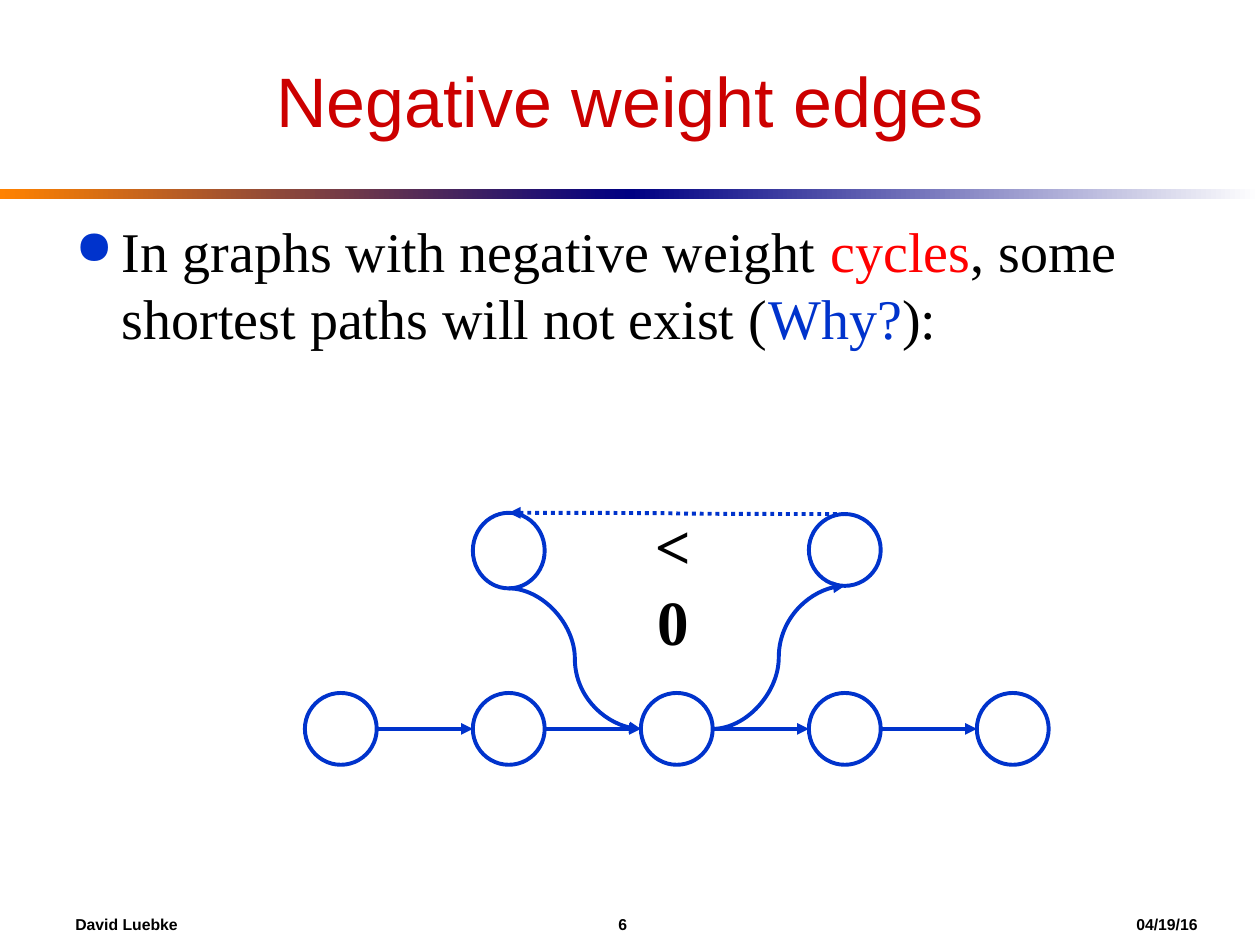
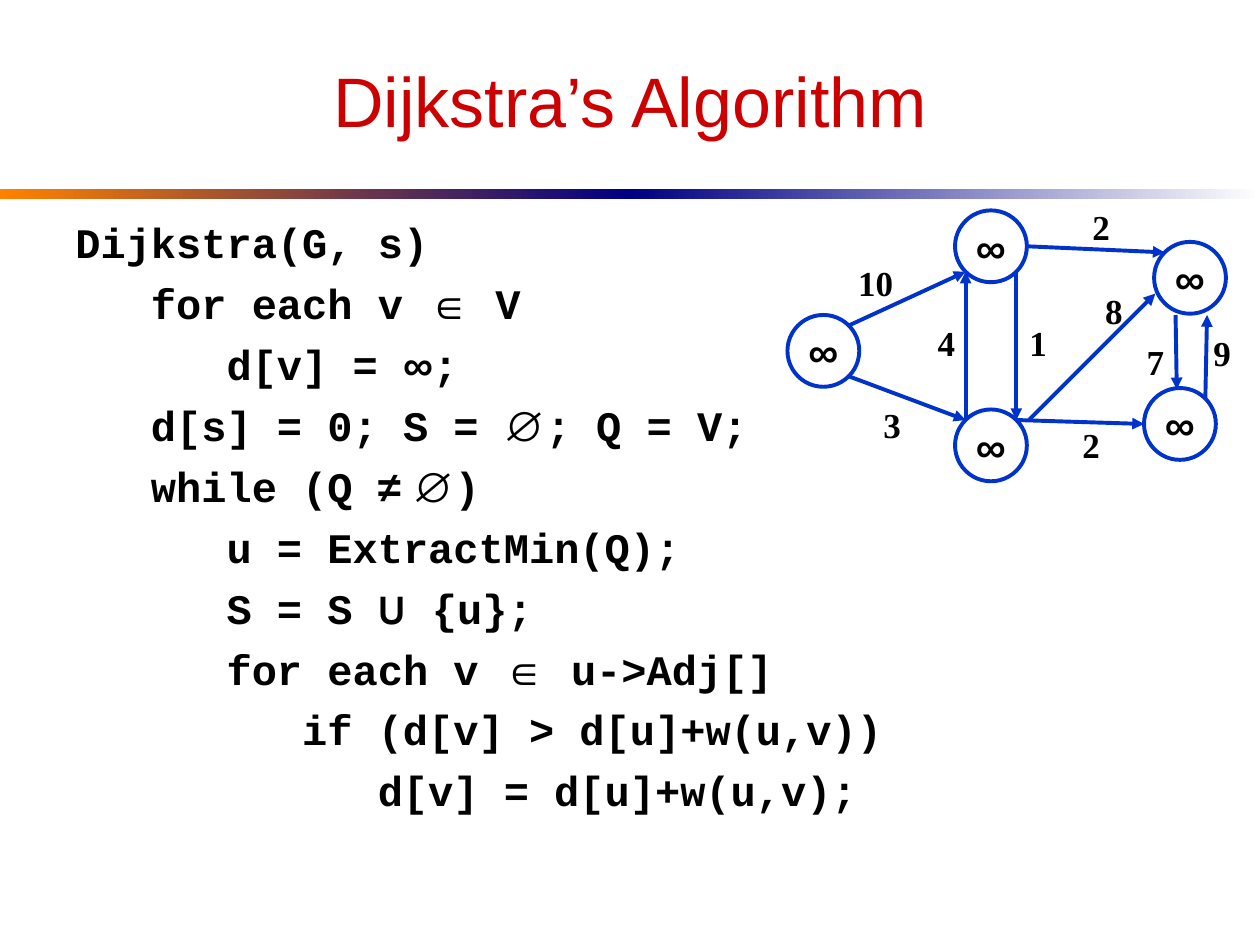
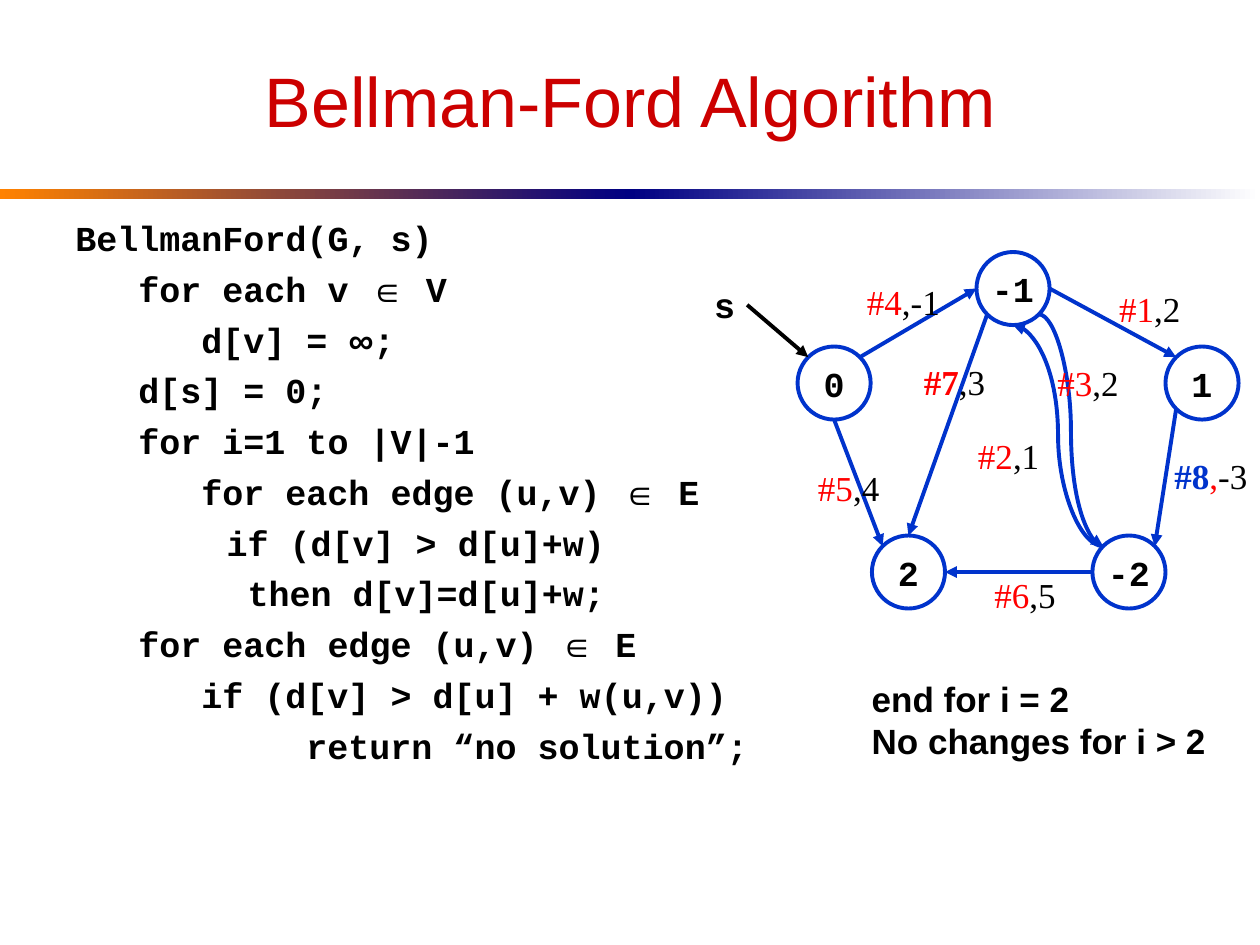
from dataclasses import dataclass, replace
from typing import NamedTuple

import pptx
import pptx.dml.color
import pptx.enum.dml
import pptx.enum.shapes
import pptx.enum.text
import pptx.oxml
import pptx.oxml.ns
import pptx.util
from pptx.dml.color import RGBColor
from pptx.enum.shapes import MSO_CONNECTOR, MSO_SHAPE
from pptx.enum.text import MSO_ANCHOR, PP_ALIGN
from pptx.util import Inches, Pt

BLACK = RGBColor(0x00, 0x00, 0x00)
WHITE = RGBColor(0xFF, 0xFF, 0xFF)
BLUE = RGBColor(0x00, 0x33, 0xCC)
RED = RGBColor(0xFF, 0x00, 0x00)
TITLE_RED = RGBColor(0xCC, 0x00, 0x00)
ORANGE = RGBColor(0xFF, 0x82, 0x00)
NAVY = RGBColor(0x00, 0x00, 0x82)

SANS = "Arial"
SERIF = "Times New Roman"
MONO = "Courier New"

LINE_WIDTH = Pt(2.25)
DIAGONAL = 0.5 ** 0.5
COMPASS = {
    "N": (0, -1), "S": (0, 1), "E": (1, 0), "W": (-1, 0),
    "NE": (DIAGONAL, -DIAGONAL), "NW": (-DIAGONAL, -DIAGONAL),
    "SE": (DIAGONAL, DIAGONAL), "SW": (-DIAGONAL, DIAGONAL),
}

Point = tuple[float, float]


class Box(NamedTuple):
    left: float
    top: float
    width: float
    height: float


class Span(NamedTuple):
    """Text with its departures from the paragraph's style."""
    text: str
    color: RGBColor | None = None
    font: str | None = None
    bold: bool | None = None


class CodeLine(NamedTuple):
    """One line of pseudocode, indented by a number of characters."""
    indent: float
    spans: tuple[str | Span, ...]


@dataclass(frozen=True)
class Style:
    font: str
    size: float
    color: RGBColor = BLACK
    bold: bool = False
    align: PP_ALIGN = PP_ALIGN.LEFT
    space_before: float = 0


@dataclass(frozen=True)
class Node:
    left: float
    top: float
    label: str = ""
    width: float = 0.57
    height: float = 0.57

    def at(self, direction: str) -> Point:
        """Point on the rim in a compass direction."""
        across, down = COMPASS[direction]
        return (self.left + self.width / 2 * (1 + across),
                self.top + self.height / 2 * (1 + down))


@dataclass(frozen=True)
class Edge:
    start: Point
    end: Point
    color: RGBColor = BLUE
    curved: bool = False
    dotted: bool = False


@dataclass(frozen=True)
class Label:
    left: float
    top: float
    width: float
    spans: tuple[str | Span, ...]


TITLE = Style(SANS, 40, TITLE_RED, align=PP_ALIGN.CENTER)
BODY = Style(SERIF, 32, space_before=8)
FOOTER = Style(SANS, 9, bold=True)
CODE = Style(MONO, 24, bold=True, space_before=6)
SMALL_CODE = Style(MONO, 20, bold=True, space_before=5)
INFINITY_LABEL = Style(SANS, 24, bold=True, align=PP_ALIGN.CENTER)
DISTANCE_LABEL = Style(MONO, 20, bold=True, align=PP_ALIGN.CENTER)
WEIGHT = Style(SERIF, 20, bold=True, align=PP_ALIGN.CENTER)
STEP = Style(SERIF, 20, align=PP_ALIGN.CENTER)
CYCLE_WEIGHT = Style(SERIF, 36, bold=True, align=PP_ALIGN.CENTER)
NOTE = Style(SANS, 20, bold=True)

ELEMENT_OF = Span("∈", font=SANS)
INFINITY = Span("∞", font=SANS)
EMPTY_SET = Span("∅", font=SANS)


def inches(values) -> list[int]:
    return [Inches(value) for value in values]


def add_xml(parent, xml: str):
    """Append a drawing element given as a tag with attributes and content."""
    tag, rest = xml[1:].split(" ", 1)
    namespace = pptx.oxml.ns.nsdecls("a")
    parent.append(pptx.oxml.parse_xml(f"<{tag} {namespace} {rest}"))


def set_font(font, style: Style):
    font.name = style.font
    font.size = Pt(style.size)
    font.bold = style.bold
    font.color.rgb = style.color


def write(para, spans, style: Style):
    para.alignment = style.align
    para.space_before = Pt(style.space_before)
    set_font(para.font, style)
    for span in spans:
        if isinstance(span, str):
            span = Span(span)
        run = para.add_run()
        run.text = span.text
        if span.color is not None:
            run.font.color.rgb = span.color
        if span.font is not None:
            run.font.name = span.font
        if span.bold is not None:
            run.font.bold = span.bold


def add_text(slide, box: Box, paragraphs, style: Style,
             anchor: MSO_ANCHOR = MSO_ANCHOR.TOP, wrap: bool = True):
    frame = slide.shapes.add_textbox(*inches(box)).text_frame
    frame.word_wrap = wrap
    frame.vertical_anchor = anchor
    for index, spans in enumerate(paragraphs):
        para = frame.add_paragraph() if index else frame.paragraphs[0]
        write(para, spans, style)
    return frame


def add_band(slide, left: float, first: RGBColor, last: RGBColor):
    band = slide.shapes.add_shape(MSO_SHAPE.RECTANGLE, *inches((left, 1.5, 5, 0.08)))
    band.shadow.inherit = False
    band.line.fill.background()
    band.fill.gradient()
    band.fill.gradient_angle = 0
    for stop, color in zip(band.fill.gradient_stops, (first, last)):
        stop.color.rgb = color


def add_page(deck, title: str):
    page = deck.slides.add_slide(deck.slide_layouts[6])
    add_band(page, 0, ORANGE, NAVY)
    add_band(page, 5, NAVY, WHITE)
    add_text(page, Box(0.5, 0.25, 9, 1.08), [[title]], TITLE, MSO_ANCHOR.MIDDLE)
    return page


def add_footer(slide, author: str, number: str, date: str):
    frame = add_text(slide, Box(0.5, 7.17, 9.2, 0.33), [[]], FOOTER, MSO_ANCHOR.MIDDLE)
    para = frame.paragraphs[0]
    properties = para.font._element.getparent()
    stops = "".join(f'<a:tab pos="{Inches(stop)}" algn="l"/>' for stop in (4.31, 8.42))
    add_xml(properties, f"<a:tabLst >{stops}</a:tabLst>")
    properties.append(properties.find(pptx.oxml.ns.qn("a:defRPr")))
    para.add_run().text = "\t".join((author, number, date))


def add_bullet(slide, box: Box, spans):
    para = add_text(slide, box, [spans], BODY).paragraphs[0]
    properties = para.font._element.getparent()
    properties.set("marL", str(Inches(0.37)))
    properties.set("indent", str(-Inches(0.37)))
    add_xml(properties, f'<a:buClr ><a:srgbClr val="{BLUE}"/></a:buClr>')
    add_xml(properties, '<a:buSzPct val="85000"/>')
    add_xml(properties, '<a:buChar char="●"/>')
    properties.append(properties.find(pptx.oxml.ns.qn("a:defRPr")))


def add_code(slide, lines: list[CodeLine], style: Style):
    frame = add_text(slide, Box(0.5, 1.67, 9, 4.75), [line.spans for line in lines], style)
    character = Pt(style.size * 0.6)
    for para, line in zip(frame.paragraphs, lines):
        properties = para.font._element.getparent()
        properties.set("marL", str(round(line.indent * character)))
        properties.set("indent", "0")


def add_node(slide, node: Node, style: Style):
    box = (node.left, node.top, node.width, node.height)
    circle = slide.shapes.add_shape(MSO_SHAPE.OVAL, *inches(box))
    circle.shadow.inherit = False
    circle.fill.solid()
    circle.fill.fore_color.rgb = WHITE
    circle.line.color.rgb = BLUE
    circle.line.width = LINE_WIDTH
    if node.label:
        frame = circle.text_frame
        frame.word_wrap = False
        frame.vertical_anchor = MSO_ANCHOR.MIDDLE
        write(frame.paragraphs[0], [node.label], style)


def add_edge(slide, edge: Edge):
    kind = MSO_CONNECTOR.CURVE if edge.curved else MSO_CONNECTOR.STRAIGHT
    arrow = slide.shapes.add_connector(kind, *inches(edge.start + edge.end))
    arrow.line.color.rgb = edge.color
    arrow.line.width = LINE_WIDTH
    if edge.dotted:
        arrow.line.dash_style = pptx.enum.dml.MSO_LINE.ROUND_DOT
    add_xml(arrow.line._get_or_add_ln(), '<a:tailEnd type="triangle"/>')
    add_xml(arrow._element.spPr, "<a:effectLst />")


def add_graph(slide, nodes, edges, labels, node_style: Style, label_style: Style):
    for node in nodes:
        add_node(slide, node, node_style)
    for edge in edges:
        add_edge(slide, edge)
    for label in labels:
        box = Box(label.left, label.top, label.width, 0.44)
        add_text(slide, box, [label.spans], label_style, wrap=False)


def build_negative_edges(deck):
    page = add_page(deck, "Negative weight edges")
    add_footer(page, "David Luebke", "6", "04/19/16")
    add_bullet(page, Box(0.5, 1.67, 9, 1.25), [
        "In graphs with negative weight ", Span("cycles", RED),
        ", some shortest paths will not exist (", Span("Why?", BLUE), "):",
    ])
    row = [Node(2.42 + index * 4 / 3, 5.5) for index in range(5)]
    upper_left = Node(row[1].left, 4.07, height=0.6)
    upper_right = Node(row[3].left, 4.08)
    edges = [Edge(tail.at("E"), head.at("W")) for tail, head in zip(row, row[1:])]
    edges += [
        Edge(row[2].at("E"), upper_right.at("S"), curved=True),
        Edge(upper_left.at("S"), row[2].at("W"), curved=True),
        Edge(upper_right.at("N"), upper_left.at("N"), curved=True, dotted=True),
    ]
    add_graph(page, row + [upper_left, upper_right], edges, [], STEP, STEP)
    add_text(page, Box(4.93, 3.97, 0.82, 1.25), [["< 0"]], CYCLE_WEIGHT)


def build_dijkstra(deck):
    page = add_page(deck, "Dijkstra’s Algorithm")
    add_code(page, [
        CodeLine(0, ("Dijkstra(G, s)",)),
        CodeLine(3, ("for each v ", ELEMENT_OF, " V")),
        CodeLine(6, ("d[v] = ", INFINITY, ";")),
        CodeLine(3, ("d[s] = 0; S = ", EMPTY_SET, "; Q = V;")),
        CodeLine(3, ("while (Q ", Span("≠ ∅", font=SANS), ")")),
        CodeLine(6, ("u = ExtractMin(Q);",)),
        CodeLine(6, ("S = S ", Span("U", font="Karla"), " {u};")),
        CodeLine(6, ("for each v ", ELEMENT_OF, " u->Adj[]")),
        CodeLine(9, ("if (d[v] > d[u]+w(u,v))",)),
        CodeLine(12, ("d[v] = d[u]+w(u,v);",)),
    ], CODE)
    source = Node(6.25, 2.5, "∞")
    top = Node(7.58, 1.67, "∞")
    bottom = Node(7.58, 3.25, "∞")
    right_top = Node(9.16, 1.92, "∞")
    right_bottom = Node(9.08, 3.08, "∞")
    edges = [
        Edge(source.at("NE"), top.at("SW")),
        Edge(source.at("SE"), bottom.at("NW")),
        Edge(bottom.at("NE"), right_bottom.at("W")),
        Edge(top.at("E"), right_top.at("NW")),
        Edge(bottom.at("NW"), top.at("SW")),
        Edge(top.at("SE"), bottom.at("NE")),
        Edge(right_bottom.at("NE"), (9.58, 2.5)),
        Edge((9.33, 2.5), (9.34, 3.09)),
        Edge((8.17, 3.33), (9.17, 2.33)),
    ]
    weights = [
        (7.34, 2.5, "4"), (8.07, 2.5, "1"), (8.57, 1.58, "2"), (8.49, 3.31, "2"),
        (6.91, 3.15, "3"), (9, 2.65, "7"), (9.53, 2.58, "9"), (8.67, 2.25, "8"),
    ]
    labels = [Label(left, upper, 0.34, (weight,)) for left, upper, weight in weights]
    labels.append(Label(6.71, 2.03, 0.48, ("10",)))
    nodes = [source, top, bottom, right_top, right_bottom]
    add_graph(page, nodes, edges, labels, INFINITY_LABEL, WEIGHT)


def build_bellman_ford(deck):
    page = add_page(deck, "Bellman-Ford Algorithm")
    add_code(page, [
        CodeLine(0, ("BellmanFord(G, s)",)),
        CodeLine(3, ("for each v ", ELEMENT_OF, " V")),
        CodeLine(6, ("d[v] = ", INFINITY, ";")),
        CodeLine(3, ("d[s] = 0;",)),
        CodeLine(3, ("for i=1 to |V|-1",)),
        CodeLine(6, ("for each edge (u,v) ", ELEMENT_OF, " E")),
        CodeLine(7.2, ("if (d[v] > d[u]+w)",)),
        CodeLine(8.2, ("then d[v]=d[u]+w;",)),
        CodeLine(3, ("for each edge (u,v) ", ELEMENT_OF, " E")),
        CodeLine(6, ("if (d[v] > d[u] + w(u,v))",)),
        CodeLine(11, ("return “no solution”;",)),
    ], SMALL_CODE)
    places = [(7.75, 2, "-1"), (9.25, 2.75, "1"), (8.67, 4.25, "-2"),
              (6.92, 4.25, "2"), (6.33, 2.75, "0")]
    nodes = [Node(left, upper, label, 0.58, 0.58) for left, upper, label in places]
    top, right, lower_right, lower_left, source = nodes
    edges = [
        Edge(source.at("NE"), top.at("W")),
        Edge(top.at("E"), right.at("NW")),
        Edge(right.at("SW"), lower_right.at("NE")),
        Edge(lower_right.at("W"), lower_left.at("E")),
        Edge(source.at("S"), lower_left.at("NW")),
        Edge(top.at("SW"), lower_left.at("N")),
        Edge(lower_right.at("NW"), top.at("S"), curved=True),
        Edge(top.at("SE"), lower_right.at("NW"), curved=True),
        Edge((5.93, 2.42), source.at("NW"), BLACK),
    ]
    steps = [
        (6.78, 2.18, 0.78, "#4", ",-1"), (8.78, 2.23, 0.69, "#1", ",2"),
        (8.29, 2.82, 0.69, "#3", ",2"), (7.66, 3.4, 0.69, "#2", ",1"),
        (7.79, 4.5, 0.69, "#6", ",5"), (6.39, 3.65, 0.69, "#5", ",4"),
    ]
    labels = [Label(left, upper, width, (Span(step, RED), weight))
              for left, upper, width, step, weight in steps]
    labels += [
        Label(7.23, 2.81, 0.69, (Span("#7", RED, bold=True), ",3")),
        Label(9.22, 3.56, 0.78, (Span("#8", BLUE, bold=True), Span(",", RED), "-3")),
    ]
    add_graph(page, nodes, edges, labels, DISTANCE_LABEL, STEP)
    add_text(page, Box(5.57, 2.2, 0.36, 0.44), [["s"]], DISTANCE_LABEL, wrap=False)
    add_text(page, Box(6.82, 5.33, 3.1, 1.1),
             [["end for i = 2"], ["No changes for i > 2"]], NOTE)


def main():
    deck = pptx.Presentation()
    deck.slide_width = Inches(10)
    deck.slide_height = Inches(7.5)
    build_negative_edges(deck)
    build_dijkstra(deck)
    build_bellman_ford(deck)
    deck.save("out.pptx")


if __name__ == "__main__":
    main()
